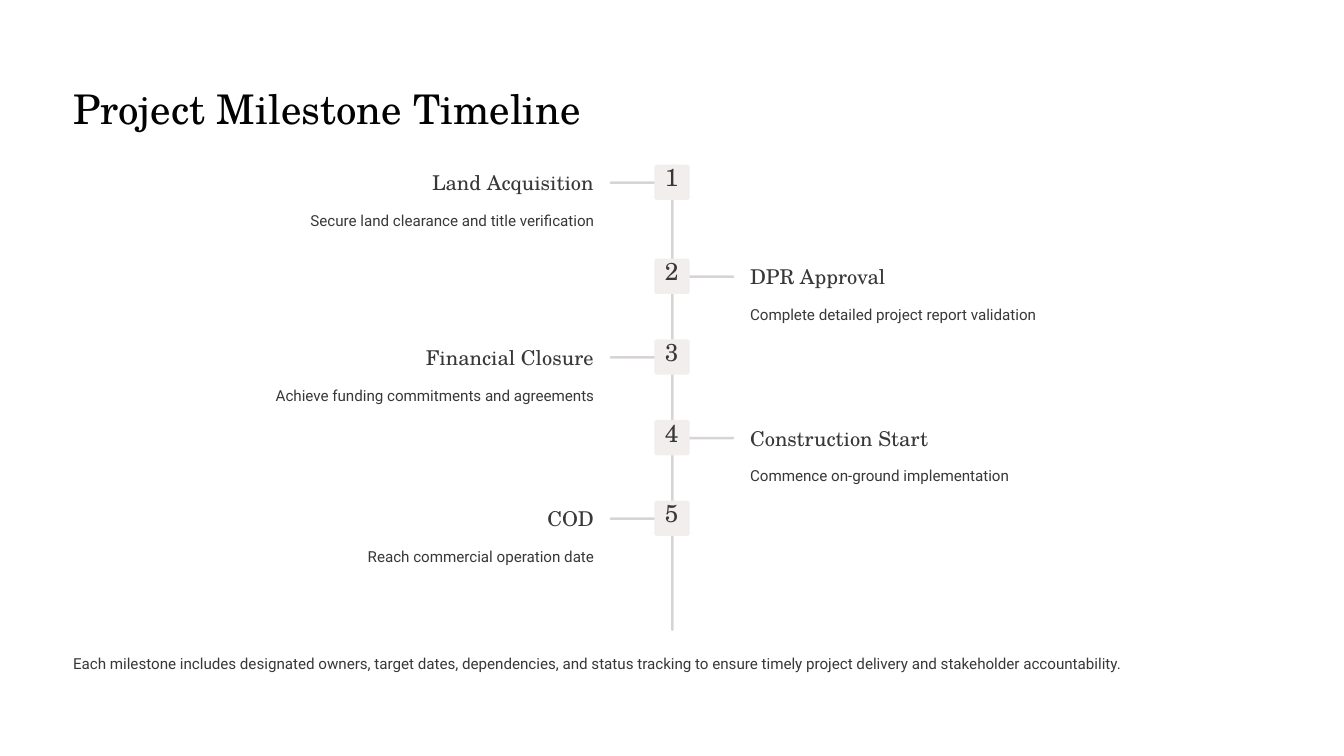
from dataclasses import dataclass
from pptx import Presentation
from pptx.dml.color import RGBColor
from pptx.enum.shapes import MSO_SHAPE as Preset
from pptx.enum.text import MSO_ANCHOR as Anchor, MSO_AUTO_SIZE as Fit, PP_ALIGN as Align
from pptx.shapes.autoshape import Shape
from pptx.slide import Slide
from pptx.util import Inches, Pt

COLORS = {"page": "FFFFFF", "title": "020202", "text": "383838", "line": "D8D4D4", "badge": "F2EEEE"}
SERIF, SANS = "TeX Gyre Schola", "Roboto"


@dataclass(frozen=True)
class Style:
    """Look of a line of text."""
    font: str
    size: float
    lead: float
    color: str = "text"


@dataclass(frozen=True)
class Box:
    """Place of an item in inches."""
    left: float
    top: float
    width: float
    height: float


@dataclass(frozen=True)
class Step:
    """One milestone on the timeline."""
    top: float
    head: str
    note: str


TITLE = Style(SERIF, 35, 43.5, "title")
NUMBER = Style(SERIF, 21, 21)
HEAD = Style(SERIF, 17.5, 21.5)
BODY = Style(SANS, 13, 21)

STEPS = [
    Step(1.96, "Land Acquisition", "Secure land clearance and title verification"),
    Step(3.08, "DPR Approval", "Complete detailed project report validation"),
    Step(4.04, "Financial Closure", "Achieve funding commitments and agreements"),
    Step(5, "Construction Start", "Commence on-ground implementation"),
    Step(5.96, "COD", "Reach commercial operation date"),
]
CLOSING = ("Each milestone includes designated owners, target dates, dependencies, and status "
           "tracking to ensure timely project delivery and stakeholder accountability.")


def place(shape: Shape, box: Box) -> None:
    """Move and size a shape."""
    shape.left, shape.top = Inches(box.left), Inches(box.top)
    shape.width, shape.height = Inches(box.width), Inches(box.height)


def write(shape: Shape, text: str, style: Style, align: Align = Align.LEFT) -> None:
    """Fill a shape with one styled line."""
    frame = shape.text_frame
    frame.text = text
    frame.auto_size = Fit.NONE
    frame.word_wrap = False
    frame.vertical_anchor = Anchor.TOP
    frame.margin_left = frame.margin_right = frame.margin_top = frame.margin_bottom = 0
    para = frame.paragraphs[0]
    para.alignment = align
    para.line_spacing = Pt(style.lead)
    para.space_before = Pt(0)
    para.font.name = style.font
    para.font.size = Pt(style.size)
    para.font.color.rgb = RGBColor.from_string(COLORS[style.color])


def label(slide: Slide, box: Box, text: str, style: Style, align: Align = Align.LEFT) -> None:
    """Add a text box."""
    shape = slide.shapes.add_textbox(0, 0, 0, 0)
    place(shape, box)
    write(shape, text, style, align)


def block(slide: Slide, box: Box, color: str, curve: float) -> None:
    """Add a plain rounded block."""
    shape = slide.shapes.add_shape(Preset.ROUNDED_RECTANGLE, 0, 0, 0, 0)
    place(shape, box)
    shape.adjustments[0] = curve
    shape.shadow.inherit = False
    shape.fill.solid()
    shape.fill.fore_color.rgb = RGBColor.from_string(COLORS[color])
    shape.line.fill.background()


def draw(slide: Slide, index: int, step: Step) -> None:
    """Draw a milestone, odd ones left and even ones right."""
    is_left = index % 2 == 1
    align = Align.RIGHT if is_left else Align.LEFT
    stub, head, note = (7.26, 4.63, 0.87) if is_left else (8.18, 8.93, 8.93)
    top = step.top
    block(slide, Box(stub, top + 0.2, 0.56, 0.03), "line", 0.5)
    block(slide, Box(7.79, top, 0.42, 0.42), "badge", 0.07)
    label(slide, Box(7.85, top + 0.03, 0.29, 0.37), str(index), NUMBER, Align.CENTER)
    label(slide, Box(head, top + 0.06, 2.44, 0.31), step.head, HEAD, align)
    label(slide, Box(note, top + 0.48, 6.2, 0.3), step.note, BODY, align)


def main() -> None:
    """Build the timeline slide."""
    deck = Presentation()
    deck.slide_width, deck.slide_height = Inches(16), Inches(9)
    slide = deck.slides.add_slide(deck.slide_layouts[5])
    fill = slide.background.fill
    fill.solid()
    fill.fore_color.rgb = RGBColor.from_string(COLORS["page"])
    title = slide.shapes.title
    place(title, Box(0.87, 0.98, 6.5, 0.61))
    write(title, "Project Milestone Timeline", TITLE)
    block(slide, Box(7.99, 1.96, 0.03, 5.55), "line", 0.5)
    for index, step in enumerate(STEPS, 1):
        draw(slide, index, step)
    label(slide, Box(0.87, 7.72, 14.26, 0.3), CLOSING, BODY)
    deck.save("out.pptx")


if __name__ == "__main__":
    main()
